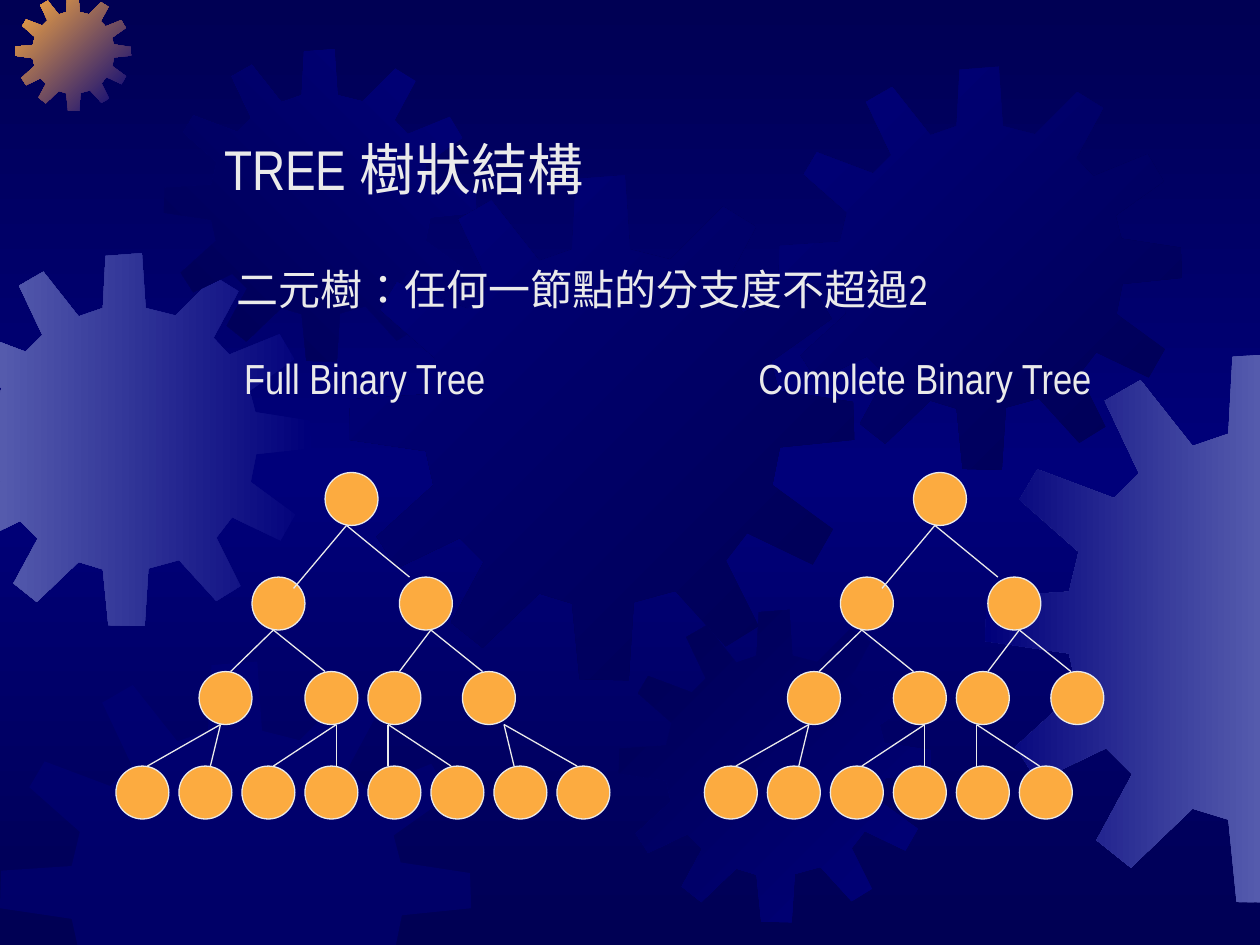
"""Build a slide that sets a full binary tree beside a complete one."""
from copy import deepcopy

from lxml import etree
from pptx import Presentation
from pptx.dml.color import RGBColor
from pptx.enum.shapes import MSO_CONNECTOR, MSO_SHAPE
from pptx.enum.text import MSO_AUTO_SIZE
from pptx.oxml.ns import qn
from pptx.util import Inches, Pt

OVAL = MSO_SHAPE.OVAL
LINE = MSO_CONNECTOR.STRAIGHT
FIT = MSO_AUTO_SIZE.SHAPE_TO_FIT_TEXT
NAVY = RGBColor(0x00, 0x00, 0x54)
BLUE = RGBColor(0x00, 0x00, 0x7A)
LILAC = RGBColor(0x55, 0x5B, 0xAD)
AMBER = RGBColor(0xFC, 0xAB, 0x40)
PALE = RGBColor(0xEA, 0xEA, 0xEA)

WIDTH, HEIGHT = 10, 7.5
NODE = 0.42
SPAN = 401
TEETH = [
    (255, 67), (223, 59), (219, 0), (180, 3), (177, 59), (151, 68),
    (113, 20), (87, 35), (112, 88), (94, 106), (38, 85), (25, 107),
    (68, 145), (61, 174), (1, 178), (0, 210), (61, 219), (67, 246),
    (22, 287), (38, 312), (88, 288), (107, 307), (81, 355), (106, 375),
    (151, 332), (177, 340), (183, 400), (222, 401), (226, 339), (259, 330),
    (299, 374), (325, 358), (299, 306), (316, 284), (368, 309), (384, 281),
    (336, 246), (342, 216), (401, 210), (400, 180), (341, 171), (335, 148),
    (383, 114), (367, 87), (313, 109), (296, 91), (323, 41), (297, 25),
]
GEARS = [
    (-0.49, 2.01, 2.96, BLUE, LILAC, 180),
    (0.12, -0.04, 0.92, BLUE, AMBER, 225),
    (1.3, 0.39, 2.48, BLUE, NAVY, 135),
    (2.77, 1.39, 4.01, NAVY, BLUE, 225),
    (0, 5.25, 3.74, BLUE, None, 0),
    (4.91, 4.84, 2.48, BLUE, NAVY, 225),
    (6.18, 0.53, 3.2, NAVY, BLUE, 225),
    (7.82, 2.8, 4.37, LILAC, BLUE, 180),
]
NODES = [
    (3.75, [2.58]),
    (4.58, [2, 3.17]),
    (5.33, [1.58, 2.42, 2.92, 3.67]),
    (6.08, [0.92 + 0.5 * i for i in range(8)]),
]
FORKS = [
    (2.75, 4.17, [(2.33, 4.67), (3.25, 4.58)]),
    (2.17, 5, [(1.83, 5.33), (2.58, 5.33)]),
    (3.42, 5, [(3.17, 5.33), (3.83, 5.33)]),
    (1.75, 5.75, [(1.17, 6.08), (1.67, 6.08)]),
    (2.67, 5.75, [(2.17, 6.08), (2.67, 6.08)]),
    (3.08, 5.75, [(3.08, 6.08), (3.58, 6.08)]),
    (4, 5.75, [(4.08, 6.08), (4.58, 6.08)]),
]
TREES = [(0, 8, 7), (4.67, 6, 6)]
TEXTS = [
    (1.68, 1.02, 3.16, 0.64, 32, "TREE 樹狀結構"),
    (1.78, 2.04, 5.81, 0.5, 24, "二元樹：任何一節點的分支度不超過2"),
    (1.84, 2.75, 2.13, 0.5, 24, "Full Binary Tree"),
    (5.92, 2.75, 2.86, 0.5, 24, "Complete Binary Tree"),
]


def trim(points, axis, edge, sign):
    """Cut a polygon at one edge, keeping the side that sign points to."""
    kept = []
    for a, b in zip(points, points[1:] + points[:1]):
        da, db = sign * (a[axis] - edge), sign * (b[axis] - edge)
        if da >= 0:
            kept.append(a)
        if da * db < 0:
            t = da / (da - db)
            kept.append(tuple(p + t * (q - p) for p, q in zip(a, b)))
    return kept


class Deck:
    """Hold the text style and the current slide."""

    def __init__(self, font, ink, lang):
        self.font, self.ink, self.lang = font, ink, lang
        self.file = Presentation()
        self.file.slide_width = Inches(WIDTH)
        self.file.slide_height = Inches(HEIGHT)
        self.slide = self.file.slides.add_slide(self.file.slide_layouts[6])
        self.shapes = self.slide.shapes

    def blend(self, fill, colors, angle):
        fill.gradient_angle = (360 - angle) % 360
        for stop, color in zip(fill.gradient_stops, colors):
            stop.color.rgb = color

    def back(self, colors, angle):
        fill = self.slide.background.fill
        fill.gradient()
        stops = self.slide.element.find(".//" + qn("a:gsLst"))
        stops.append(deepcopy(stops[-1]))
        stops[1].set("pos", "50000")
        self.blend(fill, colors, angle)

    def gear(self, left, top, size, first, last, angle):
        points = [(left + x * size / SPAN, top + y * size / SPAN)
                  for x, y in TEETH]
        for axis, edge, sign in [(0, 0, 1), (0, WIDTH, -1),
                                 (1, 0, 1), (1, HEIGHT, -1)]:
            points = trim(points, axis, edge, sign)
        spots = [(Inches(x), Inches(y)) for x, y in points]
        form = self.shapes.build_freeform(*spots[0], scale=1.0)
        form.add_line_segments(spots[1:], close=True)
        shape = form.convert_to_shape()
        shape.shadow.inherit = False
        shape.line.fill.background()
        if last:
            shape.fill.gradient()
            self.blend(shape.fill, [first, last], angle)
        else:
            shape.fill.solid()
            shape.fill.fore_color.rgb = first
            tint = shape.element.spPr.find(".//" + qn("a:srgbClr"))
            etree.SubElement(tint, qn("a:alpha")).set("val", "50000")

    def node(self, left, top):
        shape = self.shapes.add_shape(
            OVAL, Inches(left), Inches(top), Inches(NODE), Inches(NODE))
        shape.shadow.inherit = False
        shape.fill.solid()
        shape.fill.fore_color.rgb = AMBER
        shape.line.color.rgb = self.ink
        shape.line.width = Pt(0.75)

    def branch(self, x, y, end, foot):
        line = self.shapes.add_connector(
            LINE, Inches(x), Inches(y), Inches(end), Inches(foot))
        line.line.color.rgb = self.ink
        line.line.width = Pt(0.75)
        etree.SubElement(line.element.spPr, qn("a:effectLst"))

    def tree(self, shift, leaves, forks):
        for top, lefts in NODES:
            for left in lefts[:leaves]:
                self.node(left + shift, top)
        for x, y, ends in FORKS[:forks]:
            for end, foot in ends:
                self.branch(x + shift, y, end + shift, foot)

    def text(self, left, top, width, height, size, words):
        box = self.shapes.add_textbox(
            Inches(left), Inches(top), Inches(width), Inches(height))
        frame = box.text_frame
        frame.word_wrap = False
        frame.auto_size = FIT
        run = frame.paragraphs[0].add_run()
        run.text = words
        run.font.name = self.font
        run.font.size = Pt(size)
        run.font.color.rgb = self.ink
        box.element.find(".//" + qn("a:rPr")).set("lang", self.lang)


def main():
    """Draw the gears, the trees and the text, then save."""
    deck = Deck("Arial Narrow", PALE, "zh-TW")
    deck.back([NAVY, BLUE, NAVY], 90)
    for gear in GEARS:
        deck.gear(*gear)
    for tree in TREES:
        deck.tree(*tree)
    for text in TEXTS:
        deck.text(*text)
    deck.file.save("out.pptx")


if __name__ == "__main__":
    main()
